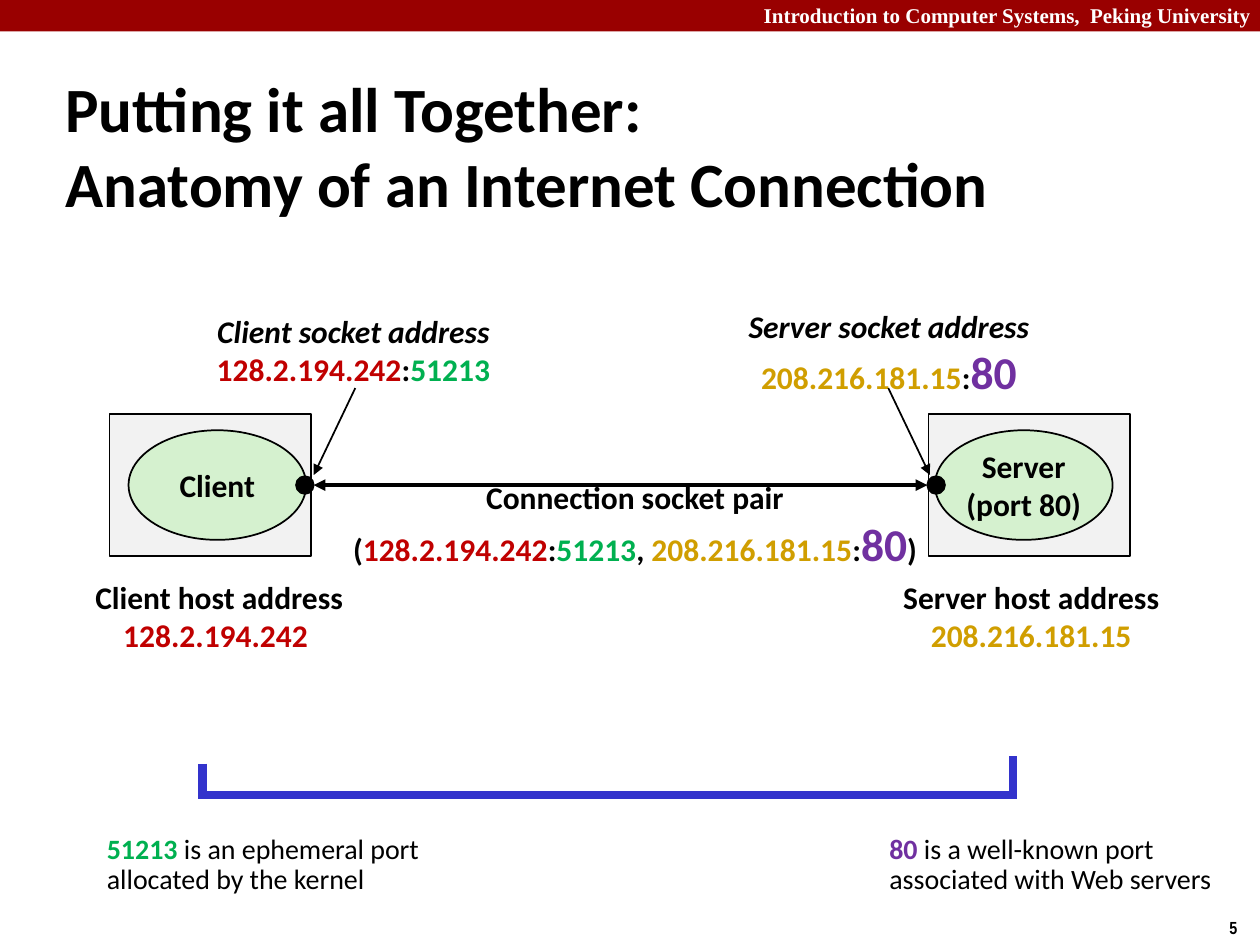
from dataclasses import dataclass

from lxml import etree
from pptx import Presentation
from pptx.dml.color import RGBColor
from pptx.enum.shapes import MSO_CONNECTOR, MSO_SHAPE
from pptx.enum.text import MSO_ANCHOR, MSO_AUTO_SIZE, PP_ALIGN
from pptx.oxml.ns import qn
from pptx.util import Inches, Pt

LEFT, CENTER, RIGHT = PP_ALIGN.LEFT, PP_ALIGN.CENTER, PP_ALIGN.RIGHT
TOP, MIDDLE = MSO_ANCHOR.TOP, MSO_ANCHOR.MIDDLE
RECTANGLE, OVAL = MSO_SHAPE.RECTANGLE, MSO_SHAPE.OVAL


@dataclass(frozen=True)
class Theme:
    font: str = "Calibri"
    banner_font: str = "Times New Roman"
    number_font: str = "Arial Narrow"
    black: str = "000000"
    white: str = "FFFFFF"
    banner: str = "990000"
    host: str = "F2F2F2"
    process: str = "D5F1CF"
    bracket: str = "3333CC"
    client_ip: str = "C00000"
    client_port: str = "00B050"
    server_ip: str = "D09E00"
    server_port: str = "7030A0"
    title_size: int = 36
    big_size: int = 26
    label_size: int = 18
    note_size: int = 16
    banner_size: int = 12
    number_size: int = 10


THEME = Theme()

# Content: a span is (text, color, size); None keeps the paragraph's value
TITLE = "Putting it all Together: \vAnatomy of an Internet Connection"
BANNER = "Introduction to Computer Systems,  Peking University "
CLIENT_IP = ("128.2.194.242", THEME.client_ip, None)
SERVER_IP = ("208.216.181.15", THEME.server_ip, None)
COLON = (":", None, None)
CLIENT_SOCKET = [CLIENT_IP, COLON, ("51213", THEME.client_port, None)]
SERVER_SOCKET = [SERVER_IP, COLON, ("80", THEME.server_port, THEME.big_size)]
PAIR = [("(", None, None), *CLIENT_SOCKET, (", ", None, None),
        *SERVER_SOCKET, (")", None, None)]

# Labels: (left, top, width, height), heading, italic heading, address spans, wrap
LABELS = [
    ((2.68, 3.74, 4.72, 0.84), "Connection socket pair", False, PAIR, False),
    ((1.61, 2.42, 2.39, 0.71), "Client socket address", True, CLIENT_SOCKET, False),
    ((5.64, 2.38, 2.83, 0.84), "Server socket address", True, SERVER_SOCKET, True),
    ((0.65, 4.53, 2.18, 0.71), "Client host address", False,
     [("128.2.194.242 ", THEME.client_ip, None)], False),
    ((7.06, 4.53, 2.25, 0.71), "Server host address", False, [SERVER_IP], False),
]
# Notes: left, width, port, port color, rest of first line, second line
NOTES = [
    (0.75, 2.8, "51213 ", THEME.client_port, "is an ephemeral port",
     "allocated by the kernel"),
    (6.96, 2.79, "80 ", THEME.server_port, "is a well-known port",
     "associated with Web servers"),
]
# Hosts: box left, process left, socket left, process lines
HOSTS = [
    (0.87, 1.02, 2.35, ["Client"]),
    (7.37, 7.42, 7.36, ["Server", "(port 80)"]),
]
HOST_SIZE, PROCESS_SIZE, SOCKET_SIZE = (1.6, 1.13), (1.41, 0.87), (0.14, 0.14)
AXIS = 3.85  # shared vertical centre of the hosts and the connection
# Arrows: start, end, width, both ends pointed
ARROWS = [
    ((2.49, AXIS), (7.36, AXIS), 2.25, True),
    ((2.82, 3.08), (2.49, 3.77), 1, False),
    ((7.05, 3.08), (7.38, 3.77), 1, False),
]
BRACKET = [(1.61, 6.06), (1.61, 6.31), (8.04, 6.31), (8.04, 6)]


def rgb(color):
    return RGBColor.from_string(color)


def style(font, size, color=THEME.black, bold=True, italic=False, name=THEME.font):
    font.name, font.size, font.bold, font.italic = name, Pt(size), bold, italic
    font.color.rgb = rgb(color)


def add_text(page, area, paragraph_count, anchor=TOP, wrap=False):
    """Add a text box and return its paragraphs."""
    box = page.shapes.add_textbox(*map(Inches, area))
    frame = box.text_frame
    frame.word_wrap, frame.vertical_anchor = wrap, anchor
    for _ in range(paragraph_count - 1):
        frame.add_paragraph()
    return frame.paragraphs


def add_spans(para, spans):
    for text, color, size in spans:
        span = para.add_run()
        span.text = text
        if color:
            span.font.color.rgb = rgb(color)
        if size:
            span.font.size = Pt(size)


def add_solid(page, kind, area, fill, outlined=True):
    shape = page.shapes.add_shape(kind, *map(Inches, area))
    shape.shadow.inherit = False
    shape.fill.solid()
    shape.fill.fore_color.rgb = rgb(fill)
    if outlined:
        shape.line.color.rgb, shape.line.width = rgb(THEME.black), Pt(1)
    else:
        shape.line.fill.background()
    return shape


def on_axis(left, size):
    width, height = size
    return left, AXIS - height / 2, width, height


def add_arrow(page, start, end, width, both):
    arrow = page.shapes.add_connector(
        MSO_CONNECTOR.STRAIGHT, *map(Inches, (*start, *end)))
    arrow.line.color.rgb, arrow.line.width = rgb(THEME.black), Pt(width)
    line = arrow.line._get_or_add_ln()
    for tag in ["a:headEnd", "a:tailEnd"] if both else ["a:tailEnd"]:
        etree.SubElement(line, qn(tag), type="triangle")
    etree.SubElement(arrow._element.spPr, qn("a:effectLst"))


def add_bracket(page):
    points = [(Inches(x), Inches(y)) for x, y in BRACKET]
    builder = page.shapes.build_freeform(*points[0])
    builder.add_line_segments(points[1:], close=False)
    bracket = builder.convert_to_shape()
    bracket.shadow.inherit = False
    bracket.fill.background()
    bracket.line.color.rgb, bracket.line.width = rgb(THEME.bracket), Pt(5)
    etree.SubElement(bracket.line._get_or_add_ln(), qn("a:miter"), lim="800000")


def main():
    deck = Presentation()
    deck.slide_width, deck.slide_height = Inches(10), Inches(7.5)
    page = deck.slides.add_slide(deck.slide_layouts[5])

    # Banner and page number
    add_solid(page, RECTANGLE, (0, 0, 10, 0.25), THEME.banner, outlined=False)
    para = add_text(page, (4.08, -0.03, 5.99, 0.3), 1, wrap=True)[0]
    para.text, para.alignment = BANNER, RIGHT
    style(para.font, THEME.banner_size, THEME.white, name=THEME.banner_font)
    para = add_text(page, (9.66, 7.23, 0.34, 0.27), 1)[0]
    para.text = "5"
    style(para.font, THEME.number_size, name=THEME.number_font)

    # Title
    title = page.shapes.title
    title.left, title.top, title.width, title.height = map(
        Inches, (0.42, 0.55, 8.8, 1.2))
    frame = title.text_frame
    frame.text, frame.vertical_anchor = TITLE, MIDDLE
    frame.auto_size = MSO_AUTO_SIZE.NONE
    frame.paragraphs[0].alignment = LEFT
    style(frame.paragraphs[0].font, THEME.title_size)

    # Hosts, processes and sockets
    for host_left, process_left, socket_left, lines in HOSTS:
        add_solid(page, RECTANGLE, on_axis(host_left, HOST_SIZE), THEME.host)
        process = add_solid(page, OVAL, on_axis(process_left, PROCESS_SIZE),
                            THEME.process)
        frame = process.text_frame
        frame.text, frame.word_wrap = "\n".join(lines), False
        frame.vertical_anchor = MIDDLE
        for para in frame.paragraphs:
            para.alignment = CENTER
            style(para.font, THEME.label_size)
        add_solid(page, OVAL, on_axis(socket_left, SOCKET_SIZE), THEME.black)

    # Address labels
    for area, heading, italic, spans, wrap in LABELS:
        paras = add_text(page, area, 2, MIDDLE, wrap)
        for para, slanted in zip(paras, (italic, False)):
            para.alignment = CENTER
            style(para.font, THEME.label_size, italic=slanted)
        add_spans(paras[0], [(heading, None, None)])
        add_spans(paras[1], spans)

    # Arrows and bracket
    for arrow in ARROWS:
        add_arrow(page, *arrow)
    add_bracket(page)

    # Port notes
    for left, width, port, color, rest, second in NOTES:
        paras = add_text(page, (left, 6.58, width, 0.59), 2)
        for para in paras:
            para.line_spacing = 0.9
            style(para.font, THEME.note_size, bold=False)
        add_spans(paras[0], [(port, color, None), (rest, None, None)])
        paras[0].runs[0].font.bold = True
        add_spans(paras[1], [(second, None, None)])

    deck.save("out.pptx")


if __name__ == "__main__":
    main()
